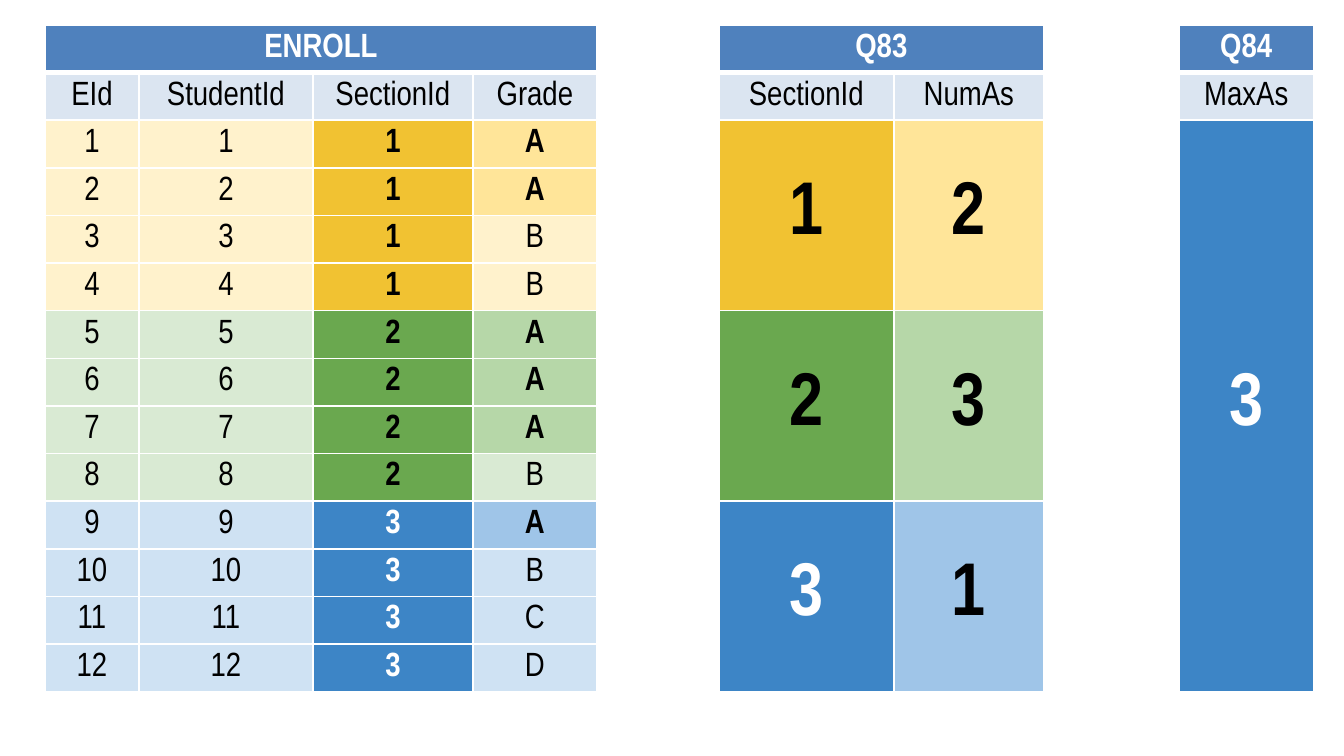
"""Build a slide showing the ENROLL table with the Q83 and Q84 query results beside it."""
from lxml import etree
from pptx import Presentation
from pptx import util as u
from pptx.dml.color import RGBColor
from pptx.enum import text
from pptx.oxml import ns

SCALE = 914400 / 134.4
FONT = "Arial Narrow"
WHITE = RGBColor(0xFF, 0xFF, 0xFF)
BLACK = RGBColor(0x00, 0x00, 0x00)
HEADER = RGBColor(0x4F, 0x81, 0xBD)
SUBHEADER = RGBColor(0xDB, 0xE5, 0xF1)
YELLOWS = [RGBColor(0xF1, 0xC2, 0x32), RGBColor(0xFF, 0xE5, 0x99), RGBColor(0xFF, 0xF2, 0xCC)]
GREENS = [RGBColor(0x6A, 0xA8, 0x4F), RGBColor(0xB6, 0xD7, 0xA8), RGBColor(0xD9, 0xEA, 0xD3)]
BLUES = [RGBColor(0x3D, 0x85, 0xC6), RGBColor(0x9F, 0xC5, 0xE8), RGBColor(0xCF, 0xE2, 0xF3)]

ROWS, TABLE_HEIGHT = 14, 667
COLUMNS = [94, 174, 160, 124, 122, 175, 150, 135, 135]
TITLES = [("ENROLL", 0, 3), ("Q83", 5, 6), ("Q84", 8, 8)]
LABELS = ["EId", "StudentId", "SectionId", "Grade", None, "SectionId", "NumAs", None, "MaxAs"]
SECTIONS = [("AABB", YELLOWS, BLACK), ("AAAB", GREENS, BLACK), ("ABCD", BLUES, WHITE)]


def px(length):
    return u.Emu(round(length * SCALE))


def write(cell, words, fill, color=BLACK, bold=False, size=18):
    cell.fill.solid()
    cell.fill.fore_color.rgb = fill
    para = cell.text_frame.paragraphs[0]
    para.alignment = text.PP_ALIGN.CENTER
    span = para.add_run()
    span.text = str(words)
    span.font.color.rgb = color
    for name, value in {"name": FONT, "size": u.Pt(size), "bold": bold}.items():
        setattr(span.font, name, value)


deck = Presentation()
deck.slide_width, deck.slide_height = px(1344), px(756)
page = deck.slides.add_slide(deck.slide_layouts[6])
frame = page.shapes.add_table(ROWS, len(COLUMNS), px(45), px(25),
                              px(sum(COLUMNS)), px(TABLE_HEIGHT))
table = frame.table
table.horz_banding = False
for column, width in zip(table.columns, COLUMNS):
    column.width = px(width)
for row in table.rows:
    row.height = px(TABLE_HEIGHT / ROWS)

cell_format = {"margin_left": px(13), "margin_right": px(13), "margin_top": px(5),
               "margin_bottom": px(5), "vertical_anchor": text.MSO_ANCHOR.MIDDLE}
for row in range(ROWS):
    for column in range(len(COLUMNS)):
        cell = table.cell(row, column)
        for name, value in cell_format.items():
            setattr(cell, name, value)
        properties = cell._tc.get_or_add_tcPr()
        for side in ("lnL", "lnR", "lnT", "lnB"):
            thick = (row, side) in [(0, "lnB"), (1, "lnT")]
            border = etree.SubElement(properties, ns.qn(f"a:{side}"), w=str(u.Pt(3 if thick else 1)))
            paint = etree.SubElement(border, ns.qn("a:solidFill"))
            etree.SubElement(paint, ns.qn("a:srgbClr"), val=str(WHITE))
        cell.fill.solid()
        cell.fill.fore_color.rgb = WHITE
        ending = etree.SubElement(cell.text_frame.paragraphs[0]._p, ns.qn("a:endParaRPr"), sz="1800")
        etree.SubElement(ending, ns.qn("a:latin"), typeface=FONT)

for title, first, last in TITLES:
    if last > first:
        table.cell(0, first).merge(table.cell(0, last))
    write(table.cell(0, first), title, HEADER, WHITE, True)
for column, label in enumerate(LABELS):
    if label:
        write(table.cell(1, column), label, SUBHEADER)

for section, (grades, (strong, medium, light), color) in enumerate(SECTIONS, 1):
    top = 2 + 4 * (section - 1)
    for row, grade in enumerate(grades, top):
        is_a = grade == "A"
        for column in (0, 1):
            write(table.cell(row, column), row - 1, light)
        write(table.cell(row, 2), section, strong, color, True)
        write(table.cell(row, 3), grade, medium if is_a else light, bold=is_a)
    for column in (5, 6):
        table.cell(top, column).merge(table.cell(top + 3, column))
    write(table.cell(top, 5), section, strong, color, True, 40)
    write(table.cell(top, 6), grades.count("A"), medium, BLACK, True, 40)

table.cell(2, 8).merge(table.cell(ROWS - 1, 8))
most = max(grades.count("A") for grades, shades, color in SECTIONS)
write(table.cell(2, 8), most, BLUES[0], WHITE, True, 40)

deck.save("out.pptx")
